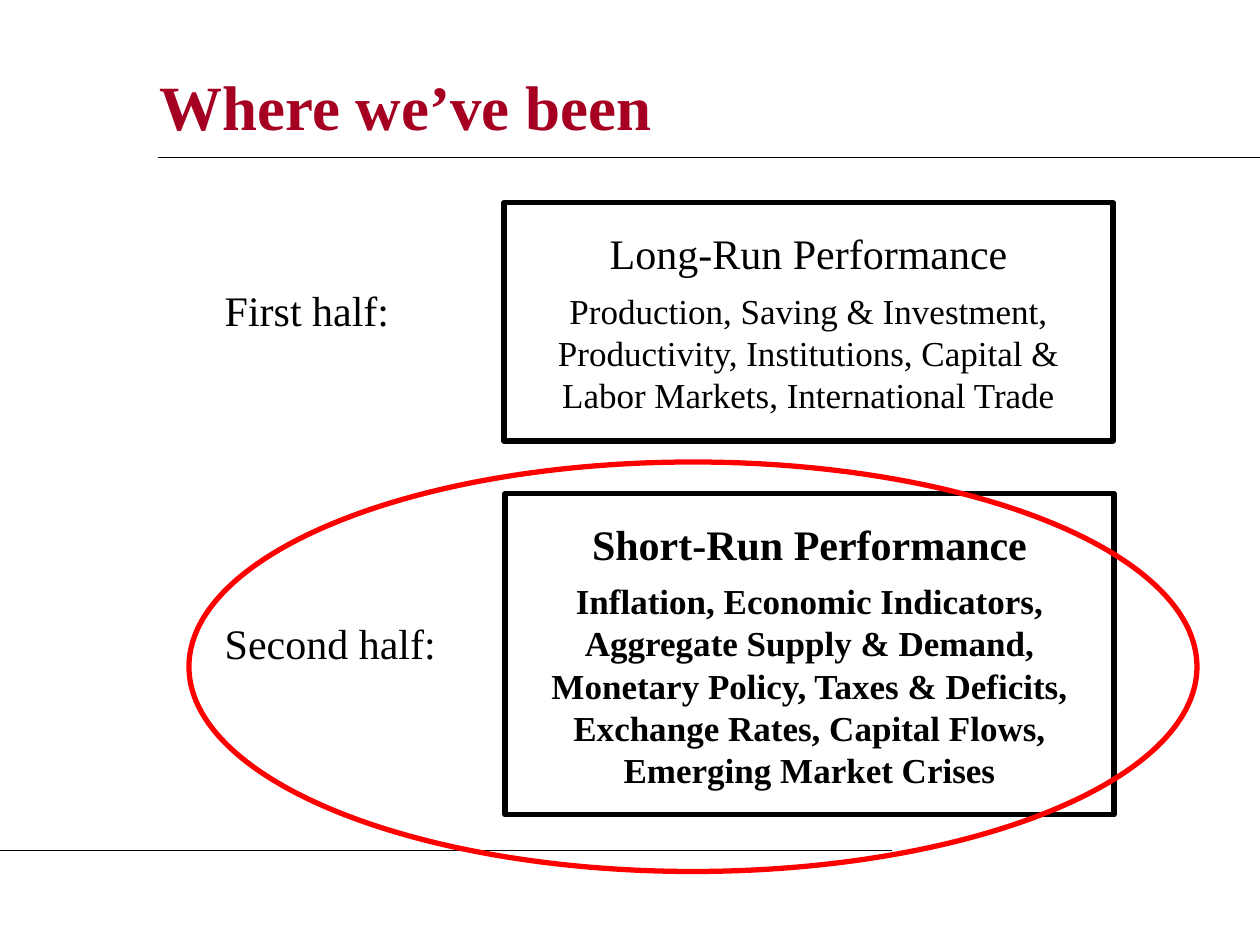
from lxml.etree import SubElement
from pptx import Presentation
from pptx.dml.color import RGBColor
from pptx.enum.shapes import MSO_CONNECTOR, MSO_SHAPE
from pptx.enum.text import MSO_ANCHOR, MSO_AUTO_SIZE, PP_ALIGN
from pptx.oxml.ns import qn
from pptx.util import Inches, Pt

COLUMNS, ROWS = 120, 90
CELL = Inches(10) // COLUMNS
FONT = "Times New Roman"
CRIMSON = RGBColor(0xA5, 0x00, 0x21)
BLACK = RGBColor(0x00, 0x00, 0x00)
RED = RGBColor(0xFF, 0x00, 0x00)


def grid(*cells):
    return [round(cell * CELL) for cell in cells]


def add_text(paragraph, text, size, color=BLACK, bold=False):
    run = paragraph.add_run()
    run.text = text
    run.font.name = FONT
    run.font.size = Pt(size)
    run.font.bold = bold
    run.font.color.rgb = color


def pad_frame(frame):
    frame.word_wrap = True
    frame.auto_size = MSO_AUTO_SIZE.SHAPE_TO_FIT_TEXT
    frame.vertical_anchor = MSO_ANCHOR.TOP
    frame.margin_left = frame.margin_right = Inches(0.2)
    frame.margin_top = frame.margin_bottom = Inches(0.2)


def add_heading(slide, box, text):
    title = slide.shapes.title
    title.left, title.top, title.width, title.height = grid(*box)
    title.text_frame.vertical_anchor = MSO_ANCHOR.MIDDLE
    heading = title.text_frame.paragraphs[0]
    heading.alignment = PP_ALIGN.LEFT
    add_text(heading, text, 36, CRIMSON, True)


def add_rule(slide, start, end, row):
    rule = slide.shapes.add_connector(
        MSO_CONNECTOR.STRAIGHT, *grid(start, row, end, row))
    rule.line.color.rgb = BLACK
    rule.line.width = Pt(0.75)
    SubElement(rule._element.spPr, qn("a:effectLst"))


def add_outline(slide, preset, box, color):
    outline = slide.shapes.add_shape(preset, *grid(*box))
    outline.shadow.inherit = False
    outline.fill.background()
    outline.line.color.rgb = color
    outline.line.width = Pt(3)
    return outline


def add_topic(slide, box, heading, details, bold):
    frame = add_outline(slide, MSO_SHAPE.RECTANGLE, box, BLACK).text_frame
    pad_frame(frame)
    theme = frame.paragraphs[0]
    theme.alignment = PP_ALIGN.CENTER
    add_text(theme, heading, 24, bold=bold)
    contents = frame.add_paragraph()
    contents.alignment = PP_ALIGN.CENTER
    contents.space_before = Pt(6.2)
    add_text(contents, details, 20, bold=bold)


def add_period(slide, box, text, spacing):
    frame = slide.shapes.add_textbox(*grid(*box)).text_frame
    pad_frame(frame)
    period = frame.paragraphs[0]
    period.line_spacing = spacing
    add_text(period, text, 24)


def build_overview(slide):
    add_heading(slide, (14, 5, 97, 10), "Where we’ve been")
    add_rule(slide, 15, COLUMNS, 15)
    add_rule(slide, 0, 85, 81)
    add_topic(slide, (48, 19.3, 58, 22.7), "Long-Run Performance",
              "Production, Saving & Investment, Productivity, Institutions, "
              "Capital & Labor Markets, International Trade", False)
    add_topic(slide, (48.1, 47, 58, 30.6), "Short-Run Performance",
              "Inflation, Economic Indicators, Aggregate Supply & Demand, "
              "Monetary Policy, Taxes & Deficits, Exchange Rates, "
              "Capital Flows, Emerging Market Crises", True)
    add_period(slide, (19, 28, 28, 7.2), "First half:", 0.5)
    add_period(slide, (19, 56.4, 28, 9.6), "Second half:", 1.0)
    add_outline(slide, MSO_SHAPE.OVAL, (18, 44, 96, 39), RED)


def main():
    deck = Presentation()
    deck.slide_width, deck.slide_height = grid(COLUMNS, ROWS)
    build_overview(deck.slides.add_slide(deck.slide_layouts[5]))
    deck.save("out.pptx")


if __name__ == "__main__":
    main()
